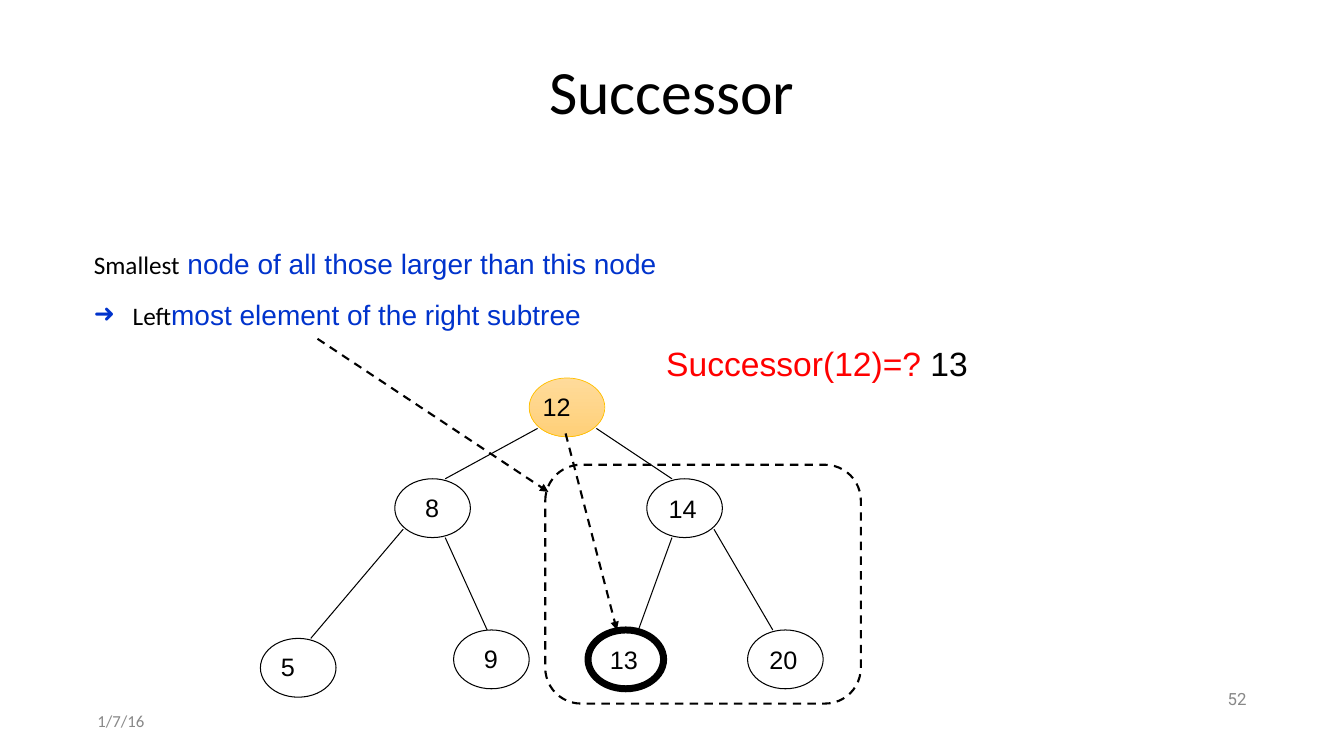
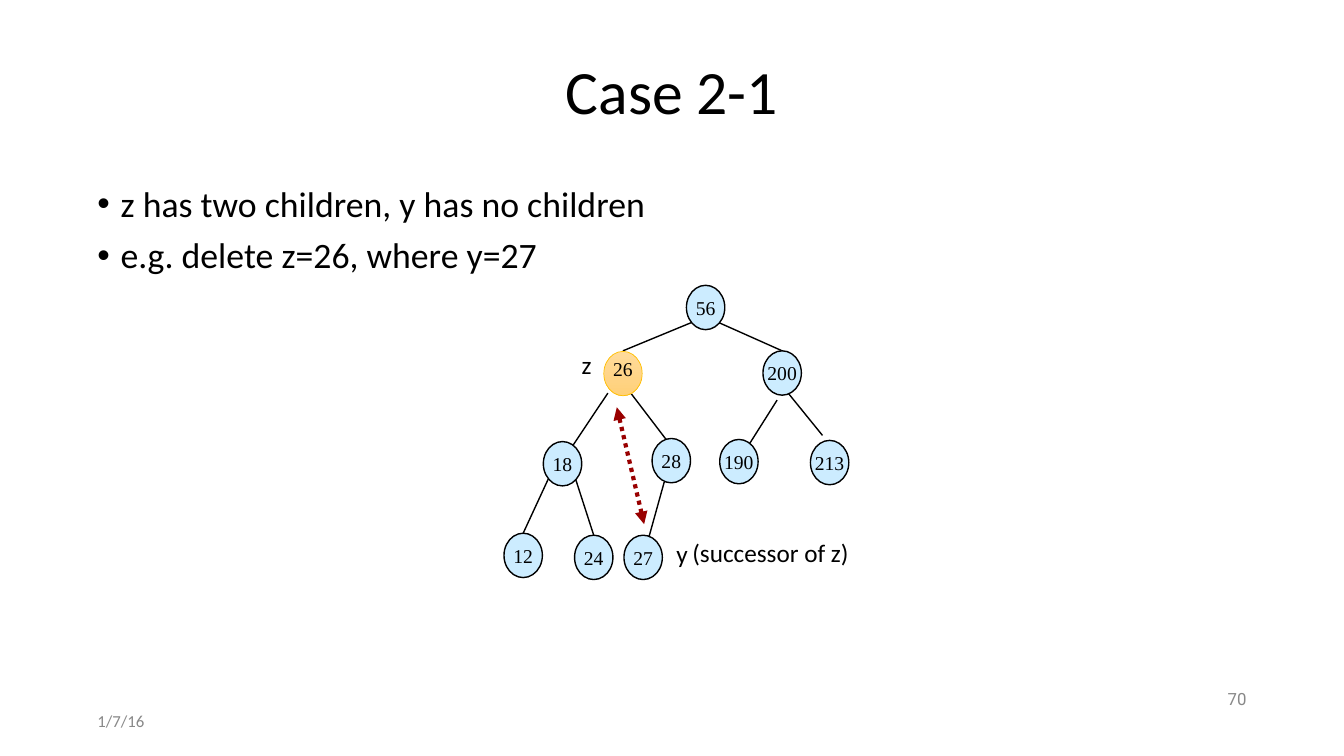
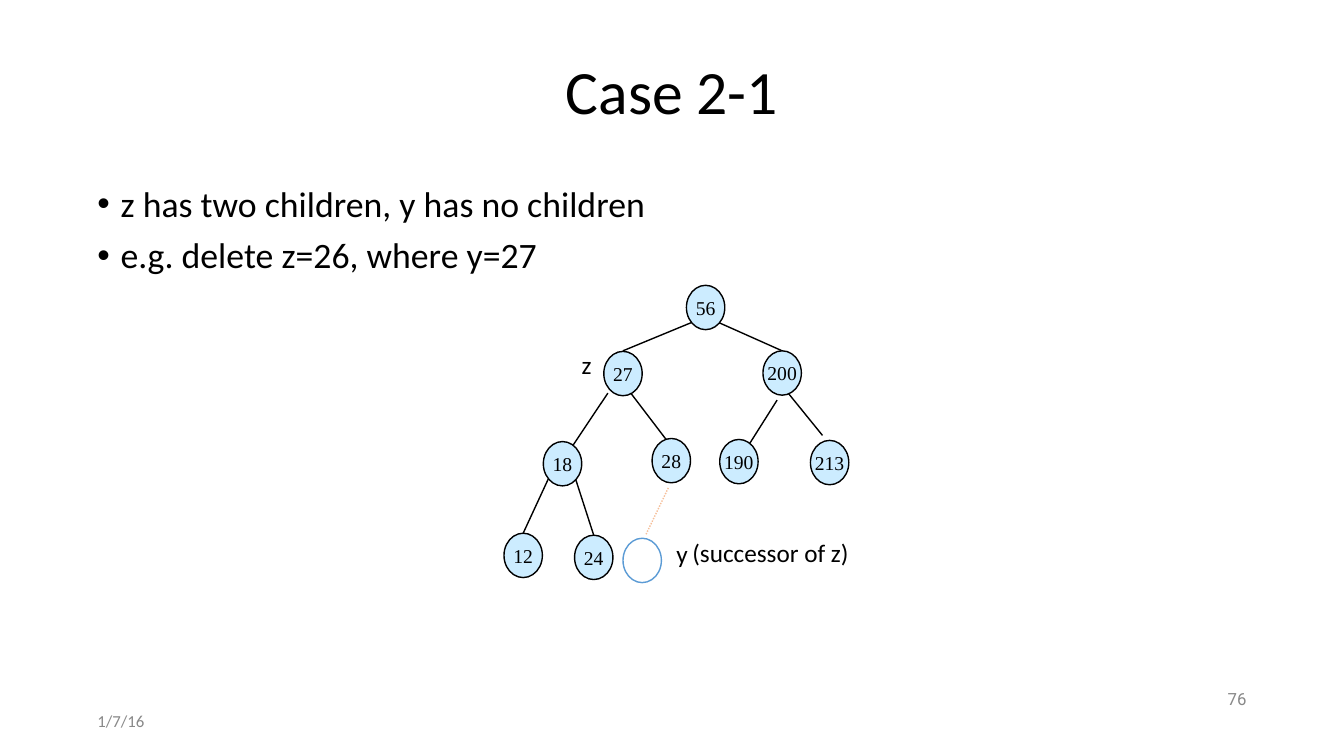
from lxml import etree
from pptx import Presentation
from pptx.dml.color import RGBColor
from pptx.enum.dml import MSO_LINE
from pptx.enum.shapes import MSO_CONNECTOR, MSO_SHAPE
from pptx.enum.text import MSO_ANCHOR, PP_ALIGN
from pptx.oxml.ns import qn
from pptx.util import Pt

ELLIPSE, ROUNDED = MSO_SHAPE.OVAL, MSO_SHAPE.ROUNDED_RECTANGLE
STRAIGHT = MSO_CONNECTOR.STRAIGHT
DASH, DOTS = MSO_LINE.DASH, MSO_LINE.ROUND_DOT
TOP, MIDDLE = MSO_ANCHOR.TOP, MSO_ANCHOR.MIDDLE
LEFT, CENTER, RIGHT = PP_ALIGN.LEFT, PP_ALIGN.CENTER, PP_ALIGN.RIGHT

COLORS = {
    "black": "000000", "white": "FFFFFF", "grey": "888888", "red": "FF0000",
    "blue": "0033CC", "sky": "CCECFF", "outline": "5B9BD5", "dark red": "990000",
    "peach": "F6BE98", "gold": "FFC000", "gold top": "FFDB9B", "gold bottom": "FFD078",
}
INSET = 3.6
TITLE_AREA = (66, 28.8, 828, 77)
DATE_AREA = (66, 504, 216, 21)
NUMBER_AREA = (678, 489.6, 216, 21)
DATE = "1/7/16"

# Runs are (text, size, font, colour)
DEFINITION = [
    [("Smallest", 18, "Calibri", "black"),
     (" node of all those larger than this node", 20, "Arial", "blue")],
    [("Left", 18, "Calibri", "black"),
     ("most element of the right subtree", 20, "Arial", "blue")],
]
QUESTION = [[("Successor(12)=? ", 24, "Arial", "red"), ("13", 24, "Arial", "black")]]
CASE_POINTS = [
    [("z has two children, y has no children", 25.5, "Calibri", "black")],
    [("e.g. delete z=26, where y=27", 25.5, "Calibri", "black")],
]

# Successor tree: value -> (node left, node top, label left, label top)
BIG_NODE = (54, 42)
BIG_NODES = {
    "12": (378, 270, 384, 276),
    "8": (282, 342, 300, 348), "14": (462, 342, 474, 349),
    "5": (186, 456, 197, 462), "9": (324, 450, 342, 456),
    "13": (420, 450, 432, 457), "20": (534, 450, 546, 457),
}
BIG_EDGES = [
    (384, 306, 318, 342), (426, 306, 480, 342), (288, 378, 222, 456),
    (318, 384, 348, 450), (480, 384, 456, 450), (510, 378, 552, 450),
]
SUBTREE_AREA = (389.5, 332, 225.4, 170.6)
HINT_ARROWS = [(226.8, 242, 391.7, 351.4), (404, 309.6, 440.6, 450)]

# Deletion tree: value -> (left, top)
SMALL_NODE = (27.4, 31.7)
SMALL_NODES = {
    "56": (490.3, 203.8), "200": (545, 250.6),
    "18": (388.1, 315.4), "28": (465.8, 313.2), "190": (514.1, 313.9), "213": (578.9, 314.6),
    "12": (360, 380.9), "24": (410.4, 382.3),
}
Z_SPOT, Y_SPOT, FREED_SPOT = (431.3, 251), (445.7, 382.3), (445, 384.5)
SMALL_EDGES = [
    (493.9, 230.4, 445, 250.6), (513.4, 230.4, 558.7, 250.6),
    (434.2, 280.8, 401, 330.5), (444.6, 273, 477.4, 316),
    (555.1, 285.8, 527.8, 329), (563, 280.8, 587.5, 311),
    (391.7, 342, 373.7, 380.9), (411.1, 342, 424.1, 382.3),
]
Y_EDGE = (474.5, 344.2, 463.7, 383)
FREED_EDGE = (461.5, 381.6, 477.4, 348.5)
SWAP_ARROW = (440.6, 290.9, 460.1, 374.4)
SMALL_LABELS = [
    ("z", (411.8, 246.2, 15.1, 29.5)),
    ("y", (479.5, 380.9, 16.6, 29.5)),
    ("(successor of z)", (491, 380.2, 119.5, 29.5)),
]


def color(name):
    return RGBColor.from_string(COLORS[name])


def points(values):
    return [Pt(value) for value in values]


def write(shape, paragraphs, align=LEFT, anchor=TOP, wrap=True, spacing=None, before=0, inset=INSET):
    """Fill a shape with paragraphs, each a list of runs."""
    frame = shape.text_frame
    frame.word_wrap = wrap
    frame.vertical_anchor = anchor
    frame.margin_left = frame.margin_right = frame.margin_top = frame.margin_bottom = Pt(inset)
    for index, runs in enumerate(paragraphs):
        para = frame.add_paragraph() if index else frame.paragraphs[0]
        para.alignment = align
        para.space_before = Pt(before if index else 0)
        if spacing:
            para.line_spacing = spacing
        for text, size, font, tint in runs:
            span = para.add_run()
            span.text = text
            span.font.size, span.font.name = Pt(size), font
            span.font.color.rgb = color(tint)


def add_text(page, area, paragraphs, **style):
    box = page.shapes.add_textbox(*points(area))
    write(box, paragraphs, **style)
    return box


def add_bullet(para, char, indent, tint, size=None):
    props = para._p.get_or_add_pPr()
    props.set("marL", str(Pt(indent)))
    props.set("indent", str(-Pt(indent)))
    tag = etree.SubElement(props, qn("a:buClr"))
    etree.SubElement(tag, qn("a:srgbClr"), val=COLORS[tint])
    if size:
        etree.SubElement(props, qn("a:buSzPts"), val=str(size * 100))
    etree.SubElement(props, qn("a:buFont"), typeface="Arial")
    etree.SubElement(props, qn("a:buChar"), char=char)


def add_outline(page, kind, area, line="black", width=1, fill=None):
    """Draw a preset shape; the fill "gold" gives the highlight gradient."""
    shape = page.shapes.add_shape(kind, *points(area))
    shape.shadow.inherit = False
    shape.line.color.rgb = color(line)
    shape.line.width = Pt(width)
    if fill == "gold":
        shape.fill.gradient()
        shape.fill.gradient_angle = 270
        for stop, name, position in zip(shape.fill.gradient_stops, ("gold top", "gold bottom"), (0, 1)):
            stop.color.rgb = color(name)
            stop.position = position
    elif fill:
        shape.fill.solid()
        shape.fill.fore_color.rgb = color(fill)
    else:
        shape.fill.background()
    return shape


def add_line(page, ends, tint="black", width=1, dash=None, arrows=()):
    """Draw a straight line; arrows names the ends (headEnd, tailEnd) with a triangle."""
    line = page.shapes.add_connector(STRAIGHT, *points(ends))
    line.line.color.rgb = color(tint)
    line.line.width = Pt(width)
    if dash:
        line.line.dash_style = dash
    for end in arrows:
        etree.SubElement(line.line._get_or_add_ln(), qn("a:" + end), type="triangle")
    etree.SubElement(line._element.spPr, qn("a:effectLst"))


def add_page(deck, title, number):
    page = deck.slides.add_slide(deck.slide_layouts[5])
    heading = page.shapes.title
    heading.left, heading.top, heading.width, heading.height = points(TITLE_AREA)
    write(heading, [[(title, 44, "Calibri", "black")]], align=CENTER, anchor=MIDDLE, spacing=0.9)
    add_text(page, DATE_AREA, [[(DATE, 12, "Calibri", "grey")]], anchor=MIDDLE)
    add_text(page, NUMBER_AREA, [[(number, 12, "Roboto", "grey")]],
             align=RIGHT, anchor=MIDDLE, spacing=0.9)
    return page


def add_small_node(page, value, spot, **style):
    node = add_outline(page, ELLIPSE, spot + SMALL_NODE, **style)
    if value:
        write(node, [[(value, 14, "Times New Roman", "black")]],
              align=CENTER, anchor=MIDDLE, wrap=False, inset=0)
    return node


def add_successor_page(deck):
    page = add_page(deck, "Successor", "52")
    for edge in BIG_EDGES:
        add_line(page, edge, width=0.75)
    looks = {"12": {"line": "gold", "width": 0.5, "fill": "gold"}, "13": {"width": 5}}
    for value, (left, top, label_left, label_top) in BIG_NODES.items():
        add_outline(page, ELLIPSE, (left, top) + BIG_NODE, **looks.get(value, {"width": 0.75}))
        add_text(page, (label_left, label_top, 48, 27.4), [[(value, 18, "Arial", "black")]])
    add_text(page, (472.3, 241.2, 227.5, 34.6), QUESTION)
    subtree = add_outline(page, ROUNDED, SUBTREE_AREA, width=1.5)
    subtree.adjustments[0] = 0.15
    subtree.line.dash_style = DASH
    definition = add_text(page, (63.4, 172.8, 446.4, 65.5), DEFINITION, before=12)
    add_bullet(definition.text_frame.paragraphs[1], "➜", 27.8, "blue", 20)
    for ends in HINT_ARROWS:
        add_line(page, ends, width=1.5, dash=DASH, arrows=["tailEnd"])


def add_case_page(deck, number, deleted):
    """Show the tree before the deletion of z, or after it."""
    page = add_page(deck, "Case 2-1", number)
    body = add_text(page, (66, 129.6, 400.3, 98.6), CASE_POINTS, spacing=0.9, before=9)
    for para in body.text_frame.paragraphs:
        add_bullet(para, "•", 16.6, "black")
    for edge in SMALL_EDGES:
        add_line(page, edge)
    if deleted:
        add_line(page, FREED_EDGE, "peach", dash=DOTS)
    else:
        add_line(page, Y_EDGE)
    for value, spot in SMALL_NODES.items():
        add_small_node(page, value, spot, fill="sky")
    if deleted:
        add_small_node(page, "27", Z_SPOT, fill="sky")
        add_small_node(page, "", FREED_SPOT, line="outline", fill="white")
    else:
        target = add_small_node(page, "26", Z_SPOT, line="gold", width=0.5, fill="gold")
        target.text_frame.margin_bottom = Pt(7)
        add_small_node(page, "27", Y_SPOT, fill="sky")
        add_line(page, SWAP_ARROW, "dark red", 3, DOTS, ["headEnd", "tailEnd"])
    for text, area in SMALL_LABELS:
        add_text(page, area, [[(text, 18, "Calibri", "black")]], wrap=False)


def main():
    deck = Presentation()
    deck.slide_width, deck.slide_height = Pt(960), Pt(540)
    add_successor_page(deck)
    add_case_page(deck, "70", deleted=False)
    add_case_page(deck, "76", deleted=True)
    deck.save("out.pptx")


if __name__ == "__main__":
    main()
